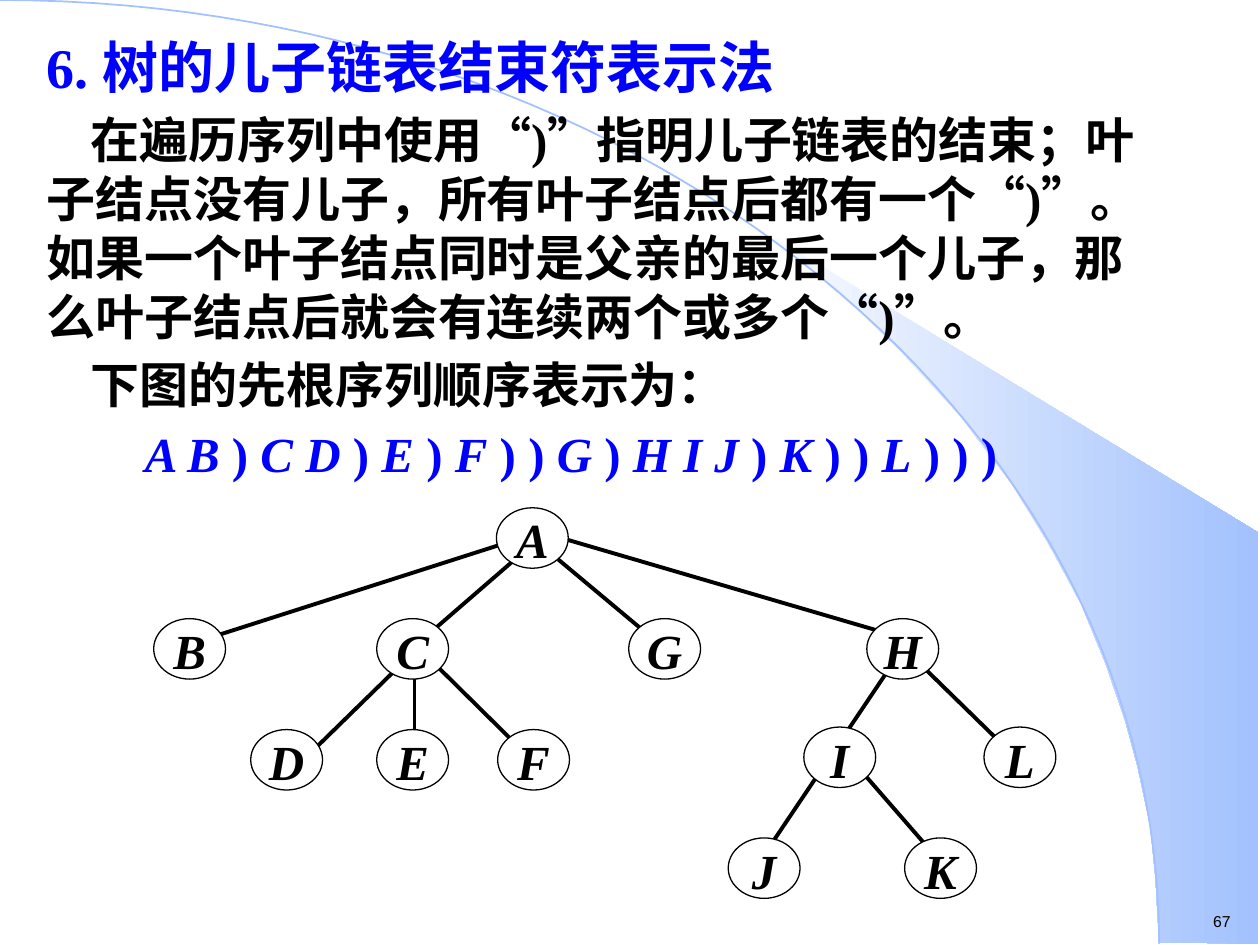
from typing import NamedTuple

from lxml import etree
from pptx import Presentation
from pptx.dml.color import RGBColor
from pptx.enum.lang import MSO_LANGUAGE_ID
from pptx.enum.shapes import MSO_CONNECTOR, MSO_SHAPE
from pptx.enum.text import MSO_ANCHOR, MSO_AUTO_SIZE, PP_ALIGN
from pptx.oxml.ns import qn
from pptx.util import Inches, Pt

BLACK = RGBColor(0, 0, 0)
WHITE = RGBColor(255, 255, 255)
BLUE = RGBColor(0, 0, 255)
SKY = RGBColor(0xA2, 0xC1, 0xFE)
SERIF, SANS = "Times New Roman", "Arial"
CHINESE = MSO_LANGUAGE_ID.SIMPLIFIED_CHINESE
STRAIGHT, OVAL = MSO_CONNECTOR.STRAIGHT, MSO_SHAPE.OVAL
TOP, NO_FIT = MSO_ANCHOR.TOP, MSO_AUTO_SIZE.NONE
LEFT, CENTER, JUSTIFY = PP_ALIGN.LEFT, PP_ALIGN.CENTER, PP_ALIGN.JUSTIFY

# The slide is a grid of 100 columns by 75 rows
COLS, ROWS = 100, 75
NODE_W, NODE_H = 5.7, 4.8

prs = Presentation()
prs.slide_width, prs.slide_height = Inches(10), Inches(7.5)


def col(n: float) -> int:
    return round(prs.slide_width * n / COLS)


def row(n: float) -> int:
    return round(prs.slide_height * n / ROWS)


class Node(NamedTuple):
    name: str
    x: float
    y: float


class Edge(NamedTuple):
    x1: float
    y1: float
    x2: float
    y2: float


class Para(NamedTuple):
    runs: list[str]  # in the sequence, every other run is italic
    size: float
    color: RGBColor
    indent: float = 0
    align: PP_ALIGN = LEFT
    sequence: bool = False


BAND = [(92, 74.8), (99.9, 74.9), (99.9, 42.3), (58.9, 17.3), (62.4, 19.9),
        (65.3, 22.2), (68.5, 25), (71.6, 28), (76.2, 33), (80.3, 38.4),
        (83.2, 43.1), (85.8, 47.9), (87.8, 52.8), (89.3, 57.2),
        (90.3, 60.9), (91.3, 65.6), (91.7, 69.6)]
ARC = [(0, 0), (50.8, 0), (92, 33.5), (92, 74.9)]  # Bezier control points

PARAS = [
    Para(["6. 树的儿子链表结束符表示法"], 32, BLUE, align=JUSTIFY),
    Para(["在遍历序列中使用“)”指明儿子链表的结束；叶子结点没有儿子，"
          "所有叶子结点后都有一个“)”。如果一个叶子结点同时是父亲的最后一个儿子，"
          "那么叶子结点后就会有连续两个或多个“)”。"], 28, BLACK, 3.5),
    Para(["下图的先根序列顺序表示为："], 28, BLACK, 3.5),
    Para(["A B", " ) ", "C D", " ) ", "E", " ) ", "F", " ) ) ", "G", " ) ",
          "H I J", " ) ", "K", " ) ) ", "L", " ) ) )"],
         28, BLUE, 7.8, sequence=True),
]

NODES = [
    Node("A", 39.4, 40.3),
    *(Node(n, x, 49.1) for n, x in
      [("B", 12.2), ("C", 29.9), ("G", 49.9), ("H", 68.8)]),
    *(Node(n, x, 57.9) for n, x in [("D", 19.9), ("E", 29.9), ("F", 39.5)]),
    *(Node(n, x, 57.7) for n, x in [("I", 63.8), ("L", 78.1)]),
    *(Node(n, x, 66.5) for n, x in [("J", 57.8), ("K", 71.8)]),
]

EDGES = [
    Edge(39.5, 43.3, 17, 50.5),       # A-B
    Edge(41.1, 44.2, 34.4, 50),       # A-C
    Edge(44.3, 44.4, 51, 50),         # A-G
    Edge(44.9, 42.8, 69.5, 50),       # A-H
    Edge(33.2, 51.4, 24.2, 60.2),     # C-D
    Edge(32.9, 51.3, 32.9, 60.1),     # C-E
    Edge(33.2, 51.4, 42.1, 60.2),     # C-F
    Edge(71.7, 51.4, 59.8, 69.1),     # H-I-J
    Edge(71.7, 51.4, 80.7, 60.2),     # H-L
    Edge(68.8, 61.7, 73.5, 67.1),     # I-K
]


def bezier(points: list[tuple[float, float]], steps: int = 60):
    for i in range(steps + 1):
        t = i / steps
        weights = ((1 - t)**3, 3 * t * (1 - t)**2, 3 * t**2 * (1 - t), t**3)
        yield tuple(sum(w * pt[k] for w, pt in zip(weights, points))
                    for k in (0, 1))


def add_outline(s, points, close: bool):
    pts = [(col(x), row(y)) for x, y in points]
    builder = s.shapes.build_freeform(*pts[0], scale=1.0)
    builder.add_line_segments(pts[1:], close=close)
    sp = builder.convert_to_shape()
    sp.shadow.inherit = False
    return sp


def add_run(p, text: str, size: float, color: RGBColor, font: str = SERIF,
            bold: bool = True, italic: bool = False) -> None:
    r = p.add_run()
    r.text = text
    f = r.font
    f.name, f.size, f.bold, f.italic = font, Pt(size), bold, italic
    f.color.rgb = color
    f.language_id = CHINESE


def add_para(tf, index: int, para: Para) -> None:
    p = tf.add_paragraph() if index else tf.paragraphs[0]
    pPr = p._p.get_or_add_pPr()
    pPr.set("marL", "0")
    pPr.set("indent", str(col(para.indent)))
    etree.SubElement(pPr, qn("a:buNone"))
    p.alignment = para.align
    p.space_before = Pt(para.size * 0.2 if index else 0)
    for i, text in enumerate(para.runs):
        add_run(p, text, para.size, para.color,
                italic=para.sequence and i % 2 == 0)


def add_edge(s, e: Edge) -> None:
    line = s.shapes.add_connector(STRAIGHT, col(e.x1), row(e.y1),
                                  col(e.x2), row(e.y2))
    line.line.color.rgb = BLACK
    line.line.width = Pt(2.25)
    etree.SubElement(line._element.spPr, qn("a:effectLst"))


def add_node(s, node: Node) -> None:
    sp = s.shapes.add_shape(OVAL, col(node.x), row(node.y),
                            col(NODE_W), row(NODE_H))
    sp.shadow.inherit = False
    sp.fill.solid()
    sp.fill.fore_color.rgb = WHITE
    sp.line.color.rgb = BLACK
    sp.line.width = Pt(0.75)
    tf = sp.text_frame
    tf.margin_left = tf.margin_right = tf.margin_top = tf.margin_bottom = 0
    tf.vertical_anchor = TOP
    p = tf.paragraphs[0]
    p.alignment, p.line_spacing = CENTER, 0.9
    add_run(p, node.name, 28, BLACK, italic=True)


def main() -> None:
    s = prs.slides.add_slide(prs.slide_layouts[1])
    title, body = s.placeholders
    title._element.getparent().remove(title._element)

    # Background band and arc
    band = add_outline(s, BAND, close=True)
    band.line.fill.background()
    band.fill.gradient()
    band.fill.gradient_angle = 0
    for stop, color, position in zip(band.fill.gradient_stops,
                                     (WHITE, SKY), (0, 1)):
        stop.color.rgb, stop.position = color, position
    arc = add_outline(s, bezier(ARC), close=False)
    arc.fill.background()
    arc.line.color.rgb = SKY
    arc.line.width = Pt(1)

    # Page number
    number = s.shapes.add_textbox(col(95.3), row(71.9), col(3.5), row(2.5))
    number.text_frame.word_wrap = False
    add_run(number.text_frame.paragraphs[0], "67", 9, BLACK, SANS, bold=False)

    # Body text, in front of the background
    s.shapes._spTree.append(body._element)
    body.left, body.top = col(2.7), row(2.1)
    body.width, body.height = col(91), row(38.6)
    tf = body.text_frame
    tf.word_wrap, tf.auto_size, tf.vertical_anchor = True, NO_FIT, TOP
    for i, para in enumerate(PARAS):
        add_para(tf, i, para)

    # Tree
    for edge in EDGES:
        add_edge(s, edge)
    for node in NODES:
        add_node(s, node)

    prs.save("out.pptx")


if __name__ == "__main__":
    main()
